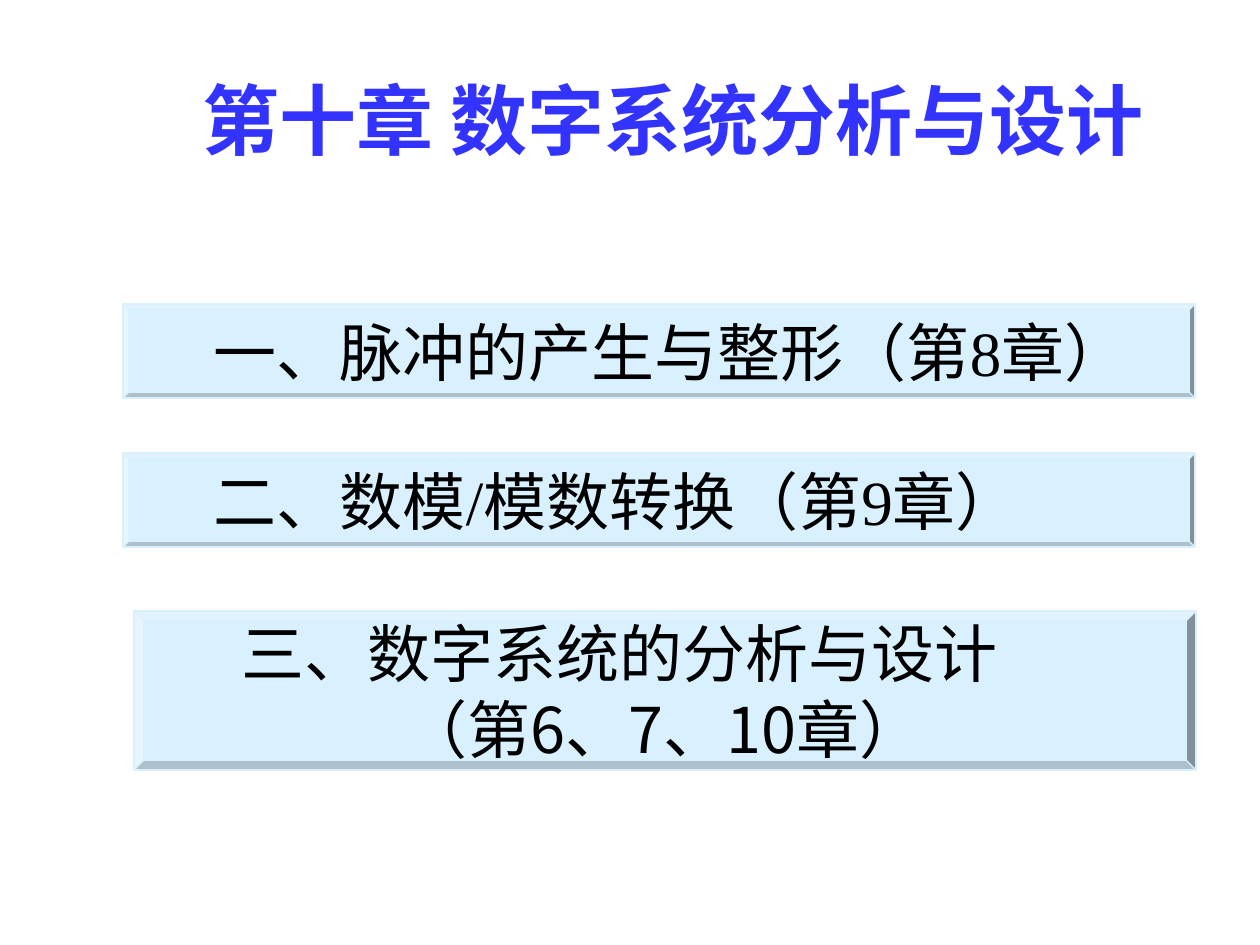
from lxml.etree import SubElement
from pptx import Presentation
from pptx.dml.color import RGBColor
from pptx.enum.shapes import MSO_SHAPE
from pptx.enum.text import MSO_ANCHOR, PP_ALIGN
from pptx.oxml.ns import qn
from pptx.util import Pt

PX = 914400 // 126
SERIF = "Times New Roman"
SANS = "Noto Sans CJK SC"


def px(length):
    """Turn a length in px into EMU."""
    return length * PX


def color(hex_code):
    """Turn a hex string into a colour."""
    return RGBColor.from_string(hex_code)


def add_words(paragraph, words, size, hex_code, latin=SERIF, bold=False):
    """Append a formatted run to a paragraph."""
    run = paragraph.add_run()
    run.text = words
    run.font.size = Pt(size)
    run.font.bold = bold
    run.font.name = latin
    run.font.color.rgb = color(hex_code)
    SubElement(run.font._element, qn("a:ea"), typeface=SANS)


def add_title(slide, box, words):
    """Place the centred chapter title in its box."""
    title = slide.shapes.add_textbox(*map(px, box))
    title.text_frame.word_wrap = True
    heading = title.text_frame.paragraphs[0]
    heading.alignment = PP_ALIGN.CENTER
    add_words(heading, words, 44, "3333FF", bold=True)


def add_topic(slide, box, edge, inset, lines):
    """Place a bevelled bar whose lines are (indent, [(words, font), ...])."""
    bar = slide.shapes.add_shape(MSO_SHAPE.BEVEL, *map(px, box))
    bar.adjustments[0] = edge / box[3]
    bar.shadow.inherit = False
    bar.fill.solid()
    bar.fill.fore_color.rgb = color("D9F1FF")
    bar.line.color.rgb = color("D9F1FF")
    bar.line.width = Pt(0.75)
    frame = bar.text_frame
    frame.word_wrap = True
    frame.vertical_anchor = MSO_ANCHOR.MIDDLE
    frame.margin_left = px(inset)
    frame.margin_right = 0
    for index, (indent, pieces) in enumerate(lines):
        line = frame.add_paragraph() if index else frame.paragraphs[0]
        line.alignment = PP_ALIGN.LEFT
        if indent:
            line._p.get_or_add_pPr().set("marL", str(px(indent)))
        for words, font in pieces:
            add_words(line, words, 36, "000000", font)


def build_outline(slide):
    """Fill the slide with the chapter title and its three topics."""
    add_title(slide, (123, 66, 1101, 106), "第十章 数字系统分析与设计")
    short_topics = ["一、脉冲的产生与整形（第8章）", "二、数模/模数转换（第9章）"]
    for row, topic in enumerate(short_topics):
        add_topic(slide, (123, 304 + 149 * row, 1072, 94), 6, 85, [(0, [(topic, SERIF)])])
    design_lines = [
        (0, [("三、", SERIF), ("数字系统的分析与设计", SANS)]),
        (163, [("（第6、7、10章）", SANS)]),
    ]
    add_topic(slide, (134, 611, 1062, 159), 10, 98, design_lines)


def main():
    """Build and save the presentation."""
    presentation = Presentation()
    presentation.slide_width = px(1260)
    presentation.slide_height = px(945)
    build_outline(presentation.slides.add_slide(presentation.slide_layouts[6]))
    presentation.save("out.pptx")


if __name__ == "__main__":
    main()
